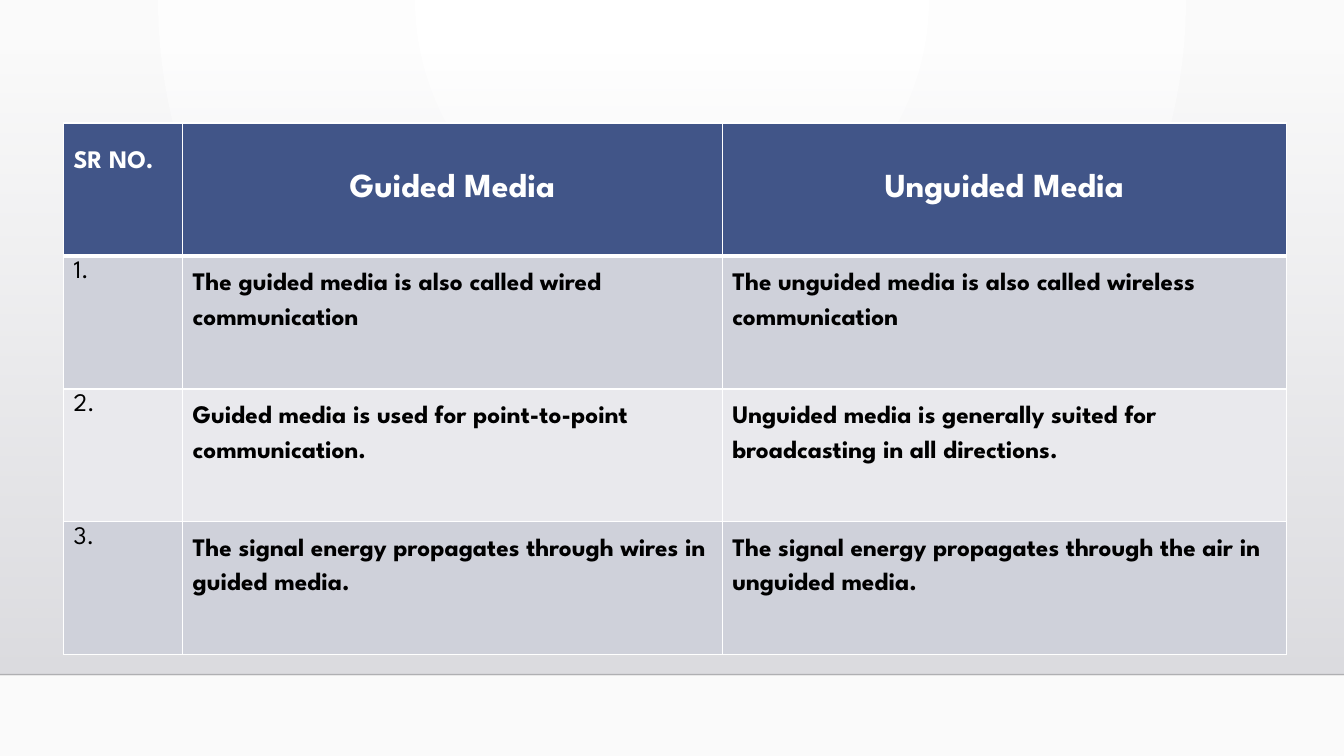
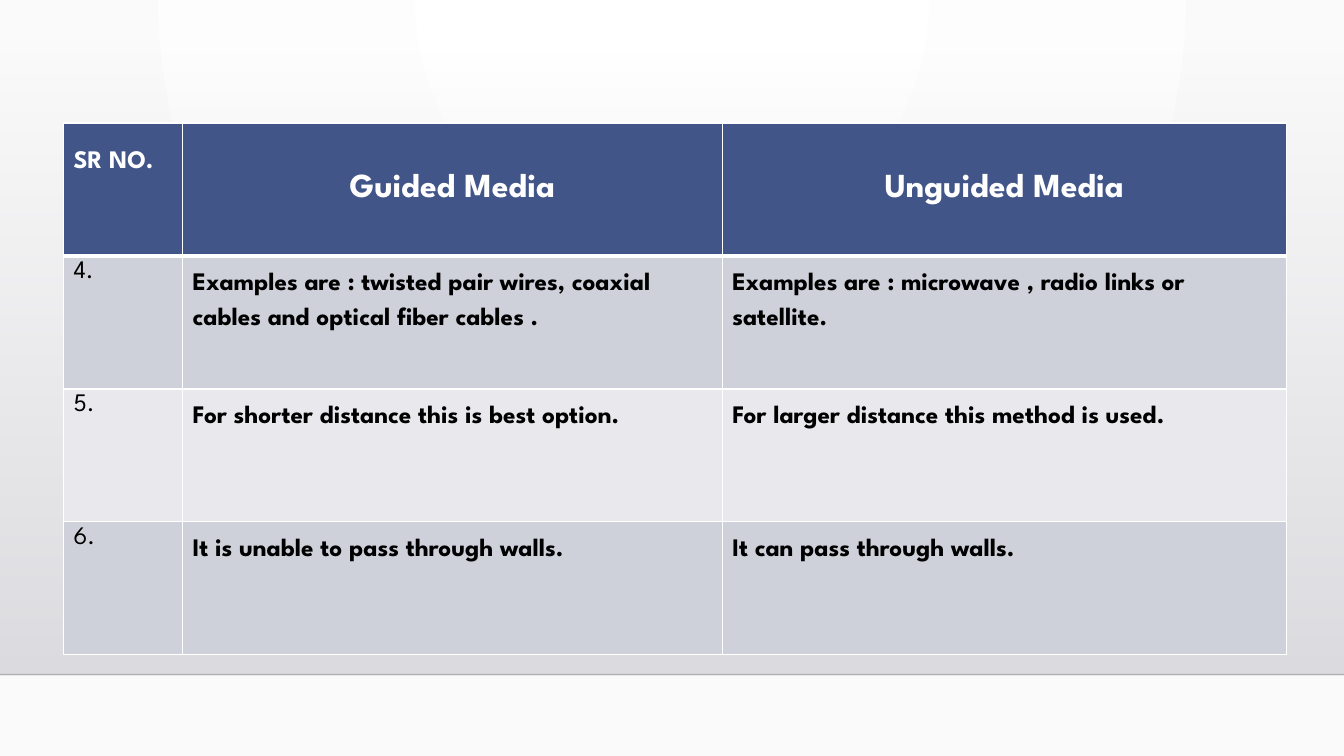
from lxml.etree import SubElement
from pptx import Presentation
from pptx.dml.color import RGBColor
from pptx.enum.shapes import MSO_CONNECTOR, MSO_SHAPE
from pptx.enum.text import PP_ALIGN
from pptx.oxml.ns import qn
from pptx.util import Cm, Pt

WIDTH, HEIGHT = 33.87, 19.05
FLOOR = 17
ROW_HEIGHT = 3.35
COLUMN_WIDTHS = (3, 13.6, 14.22)
HEADINGS = ("SR NO.", "Guided Media", "Unguided Media")

COMPARISONS = (
    (
        ("1.", "The guided media is also called wired communication",
         "The unguided media is also called wireless communication"),
        ("2.", "Guided media is used for point-to-point communication.",
         "Unguided media is generally suited for broadcasting in all directions."),
        ("3.", "The signal energy propagates through wires in guided media.",
         "The signal energy propagates through the air in unguided media."),
    ),
    (
        ("4.", "Examples are : twisted pair wires, coaxial cables and optical fiber cables .",
         "Examples are : microwave , radio links or satellite."),
        ("5.", "For shorter distance this is best option.",
         "For larger distance this method is used."),
        ("6.", "It is unable to pass through walls.",
         "It can pass through walls."),
    ),
)


def color(value):
    return RGBColor.from_string(value)


def set_alpha(color_element, percent):
    SubElement(color_element, qn("a:alpha"), val=str(percent * 1000))


def set_gradient(fill, *values):
    fill.gradient()
    for stop, value in zip(fill.gradient_stops, values):
        stop.color.rgb = color(value)


class Deck:
    """Holds the shared style and the slide being drawn."""

    font = "League Spartan"
    header, white, black = "415588", "FFFFFF", "000000"
    bands = ("CFD1DA", "E9E9ED")

    def __init__(self):
        self.presentation = Presentation()
        self.presentation.slide_width = Cm(WIDTH)
        self.presentation.slide_height = Cm(HEIGHT)
        self.layout = self.presentation.slide_layouts[6]
        self.slide = None
        self.set_background()

    def set_background(self):
        """Give the layout a radial glow centred on the top edge."""
        set_gradient(self.layout.background.fill, self.white, "FAFAFA")
        gradient = self.layout.element.find(".//" + qn("a:gradFill"))
        gradient.remove(gradient.find(qn("a:lin")))
        radial = SubElement(gradient, qn("a:path"))
        radial.set("path", "circle")
        SubElement(radial, qn("a:fillToRect"), l="43000", t="0", r="43000", b="100000")

    def add_slide(self):
        self.slide = self.presentation.slides.add_slide(self.layout)
        self.add_wall()
        self.add_floor_line()

    def add_wall(self):
        top = 1.3
        wall = self.slide.shapes.add_shape(
            MSO_SHAPE.RECTANGLE, 0, Cm(top), Cm(WIDTH), Cm(FLOOR - top))
        wall.shadow.inherit = False
        wall.line.fill.background()
        set_gradient(wall.fill, "DCDCE0", "DEDEE2")
        wall.fill.gradient_angle = 270
        set_alpha(wall.element.spPr.find(".//" + qn("a:srgbClr")), 0)

    def add_floor_line(self):
        line = self.slide.shapes.add_connector(
            MSO_CONNECTOR.STRAIGHT, 0, Cm(FLOOR), Cm(WIDTH), Cm(FLOOR))
        line.line.width = Pt(1)
        line.line.color.rgb = color("000001")
        properties = line.element.spPr
        set_alpha(properties.find(".//" + qn("a:srgbClr")), 20)
        SubElement(properties, qn("a:effectLst"))

    def add_table(self, rows):
        rows = (HEADINGS, *rows)
        frame = self.slide.shapes.add_table(
            len(rows), len(COLUMN_WIDTHS), Cm(1.6), Cm(3.1),
            Cm(sum(COLUMN_WIDTHS)), Cm(ROW_HEIGHT * len(rows)))
        table = frame.table
        table.horz_banding = False
        for column, width in zip(table.columns, COLUMN_WIDTHS):
            column.width = Cm(width)
        for row_index, texts in enumerate(rows):
            table.rows[row_index].height = Cm(ROW_HEIGHT)
            for column_index, text in enumerate(texts):
                cell = table.cell(row_index, column_index)
                cell.text = text
                self.style_cell(cell, row_index)
                self.style_text(cell.text_frame.paragraphs[0],
                                row_index == 0, column_index == 0)

    def style_cell(self, cell, row_index):
        """Draw the borders, thick below the header, and the banded fill."""
        properties = cell._tc.get_or_add_tcPr()
        thick_side = {0: "B", 1: "T"}.get(row_index)
        for side in "LRTB":
            width = Pt(3 if side == thick_side else 1)
            border = SubElement(properties, qn("a:ln" + side), w=str(width))
            fill = SubElement(border, qn("a:solidFill"))
            SubElement(fill, qn("a:srgbClr"), val=self.white)
        cell.fill.solid()
        fill_color = self.bands[(row_index - 1) % 2] if row_index else self.header
        cell.fill.fore_color.rgb = color(fill_color)

    def style_text(self, paragraph, is_header, is_number):
        font = paragraph.font
        font.name = self.font
        font.size = Pt(24 if is_header and not is_number else 18)
        font.bold = is_header or not is_number
        font.color.rgb = color(self.white if is_header else self.black)
        if is_header:
            paragraph.line_spacing = 2.0 if is_number else 2.5
            paragraph.alignment = PP_ALIGN.LEFT if is_number else PP_ALIGN.CENTER
        elif not is_number:
            paragraph.line_spacing = 1.5


def main():
    deck = Deck()
    for rows in COMPARISONS:
        deck.add_slide()
        deck.add_table(rows)
    deck.presentation.save("out.pptx")


if __name__ == "__main__":
    main()
